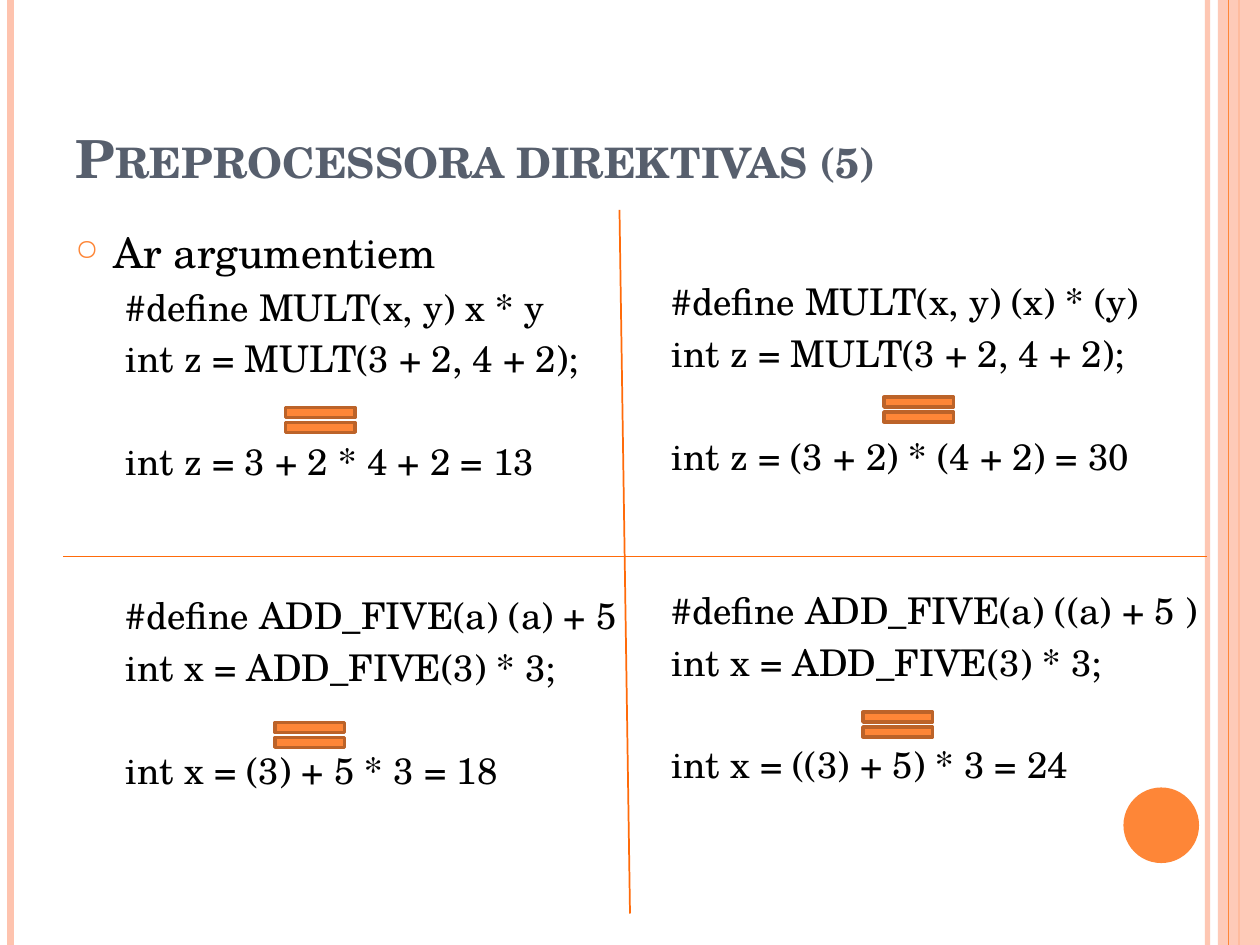
"""Build the slide on preprocessor macros with arguments."""
from lxml import etree
from pptx import Presentation
from pptx import util as u
from pptx.dml import color
from pptx.enum import shapes, text
from pptx.oxml import ns

COLORS = {"peach": "FEC3AE", "orange": "FE8637", "rule": "FF6B0A",
          "edge": "BC6329", "title": "575F6D", "text": "000000"}
FONT = "TeX Gyre Schola"
CELL = u.Inches(1) / 12
CODE_SIZE, CODE_GAP, CODE_PITCH = 21, 4.2, 29.4
SKIPPED_LINES = (0, 0, 1, 2, 0, 1)
LEFT_CODE = ("#define MULT(x, y) x * y", "int z = MULT(3 + 2, 4 + 2);",
             "int z = 3 + 2 * 4 + 2 = 13", "#define ADD_FIVE(a) (a) + 5",
             "int x = ADD_FIVE(3) * 3;", "int x = (3) + 5 * 3 = 18")
RIGHT_CODE = ("#define MULT(x, y) (x) * (y)", "int z = MULT(3 + 2, 4 + 2);",
              "int z = (3 + 2) * (4 + 2) = 30", "#define ADD_FIVE(a) ((a) + 5 )",
              "int x = ADD_FIVE(3) * 3;", "int x = ((3) + 5) * 3 = 24")


def grid(*cells):
    """Convert grid columns and rows to lengths."""
    return [u.Emu(round(c * CELL)) for c in cells]


def rgb(name):
    """Look up a named colour."""
    return color.RGBColor.from_string(COLORS[name])


def add_xml(parent, tag, **attrs):
    """Append a drawing element with attributes."""
    return etree.SubElement(parent, ns.qn(tag), **attrs)


def set_opacity(sp, percent):
    """Set the opacity of the first solid colour of a shape or line."""
    clr = next(sp._element.spPr.iter(ns.qn("a:srgbClr")))
    add_xml(clr, "a:alpha", val=str(percent * 1000))


def add_line(s, ends, name, width, opacity=100):
    """Draw a straight line between two grid points."""
    sp = s.shapes.add_connector(shapes.MSO_CONNECTOR.STRAIGHT, *grid(*ends))
    sp.line.color.rgb = rgb(name)
    sp.line.width = u.Pt(width)
    add_xml(sp._element.spPr, "a:effectLst")
    if opacity < 100:
        set_opacity(sp, opacity)


def add_shape(s, kind, box, fill, edge=None, opacity=100):
    """Draw a filled preset shape, with an outline if an edge is named."""
    sp = s.shapes.add_shape(kind, *grid(*box))
    sp.shadow.inherit = False
    sp.fill.solid()
    sp.fill.fore_color.rgb = rgb(fill)
    if edge:
        sp.line.color.rgb = rgb(edge)
        sp.line.width = u.Pt(2)
    else:
        sp.line.fill.background()
    if opacity < 100:
        set_opacity(sp, opacity)


def add_box(s, box, anchor=text.MSO_ANCHOR.TOP):
    """Add a wrapping text box and return its text frame."""
    tf = s.shapes.add_textbox(*grid(*box)).text_frame
    tf.word_wrap = True
    tf.vertical_anchor = anchor
    return tf


def write(p, words, size, name="text", bold=False):
    """Fill a paragraph and format its run."""
    p.text = words
    r = p.runs[0]
    r.font.name, r.font.size, r.font.bold = FONT, u.Pt(size), bold
    r.font.color.rgb = rgb(name)
    return r


def indent(p, margin):
    """Set the left margin and the hanging indent in inches."""
    pPr = p._p.get_or_add_pPr()
    pPr.set("marL", str(u.Inches(margin)))
    pPr.set("indent", str(u.Inches(-0.3)))
    return pPr


def add_bullet(p):
    """Give a paragraph a small hollow bullet."""
    pPr = indent(p, 0.3)
    add_xml(add_xml(pPr, "a:buClr"), "a:srgbClr", val=COLORS["orange"])
    add_xml(pPr, "a:buSzPct", val="70000")
    add_xml(pPr, "a:buChar", char="○")


def add_code(tf, lines, first=None):
    """Write code lines, spacing them to leave room for the equals signs."""
    for i, (line, skipped) in enumerate(zip(lines, SKIPPED_LINES)):
        p = first if first is not None and i == 0 else tf.add_paragraph()
        write(p, line, CODE_SIZE)
        p.level = 1
        p.space_before = u.Pt(CODE_GAP + skipped * CODE_PITCH)
        add_xml(indent(p, 0.7), "a:buNone")


def add_frame(s):
    """Draw the side bands and the disc."""
    add_line(s, (115, 0, 115, 90), "peach", 3, 93)
    add_line(s, (1, 0, 1, 90), "peach", 4.5)
    add_line(s, (118, 0, 118, 90), "orange", 1.5)
    add_shape(s, shapes.MSO_SHAPE.RECTANGLE, (116, 0, 4, 90), "peach", opacity=87)
    add_line(s, (117, 0, 117, 90), "orange", 0.75)
    add_shape(s, shapes.MSO_SHAPE.OVAL, (107, 75, 7.2, 7.2), "orange")


def main():
    """Build and save the slide."""
    prs = Presentation()
    prs.slide_width, prs.slide_height = grid(120, 90)
    s = prs.slides.add_slide(prs.slide_layouts[6])
    add_frame(s)

    tf = add_box(s, (6, 3.6, 98, 15), text.MSO_ANCHOR.BOTTOM)
    r = write(tf.paragraphs[0], "Preprocessora direktivas (5)", 30, "title", True)
    r.font._element.set("cap", "small")

    tf = add_box(s, (6, 21, 55, 64))
    p = tf.paragraphs[0]
    write(p, "Ar argumentiem", 24)
    p.space_before = u.Pt(6)
    add_bullet(p)
    add_code(tf, LEFT_CODE)

    tf = add_box(s, (58, 26, 60, 64))
    add_code(tf, RIGHT_CODE, tf.paragraphs[0])

    add_line(s, (6, 53, 115, 53), "rule", 1)
    for col, row in ((26, 38), (83, 37), (25, 68), (81, 67)):
        add_shape(s, shapes.MSO_SHAPE.MATH_EQUAL, (col, row, 9, 4), "orange", "edge")
    add_line(s, (59, 20, 60, 87), "rule", 1)
    prs.save("out.pptx")


main()
